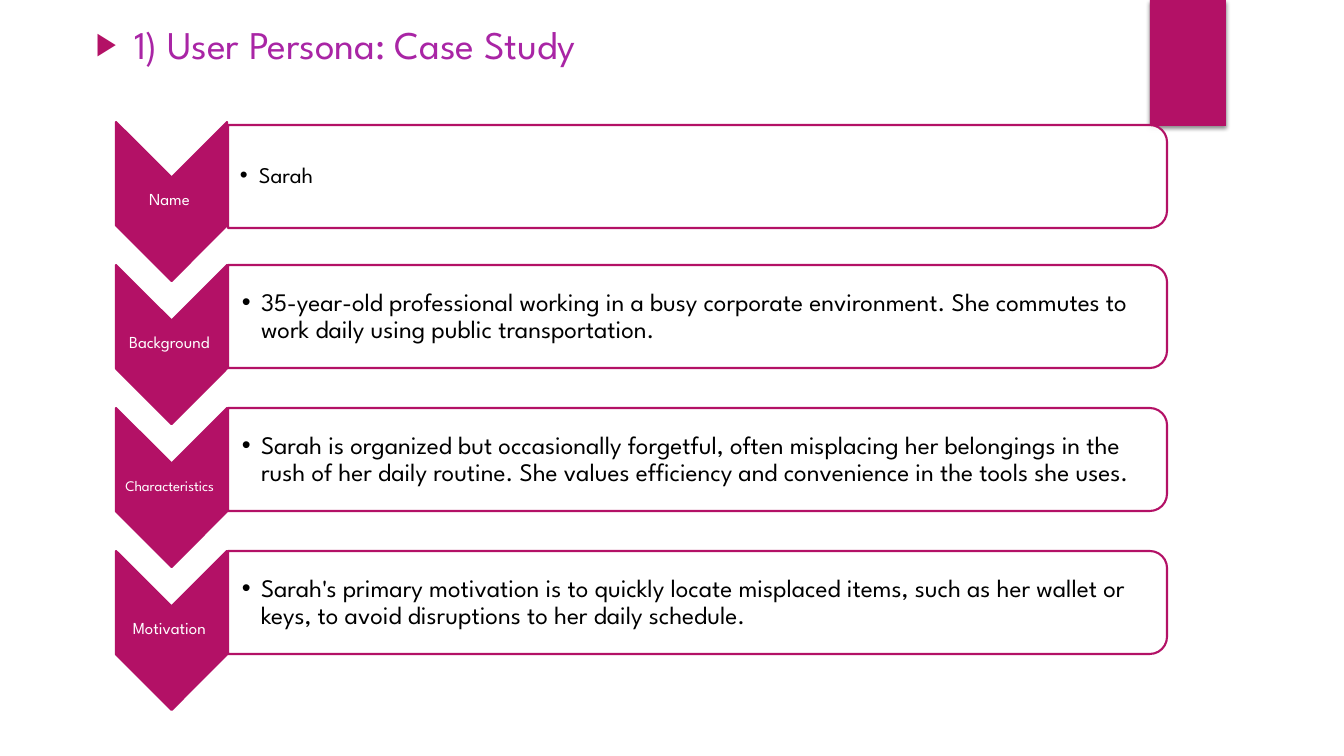
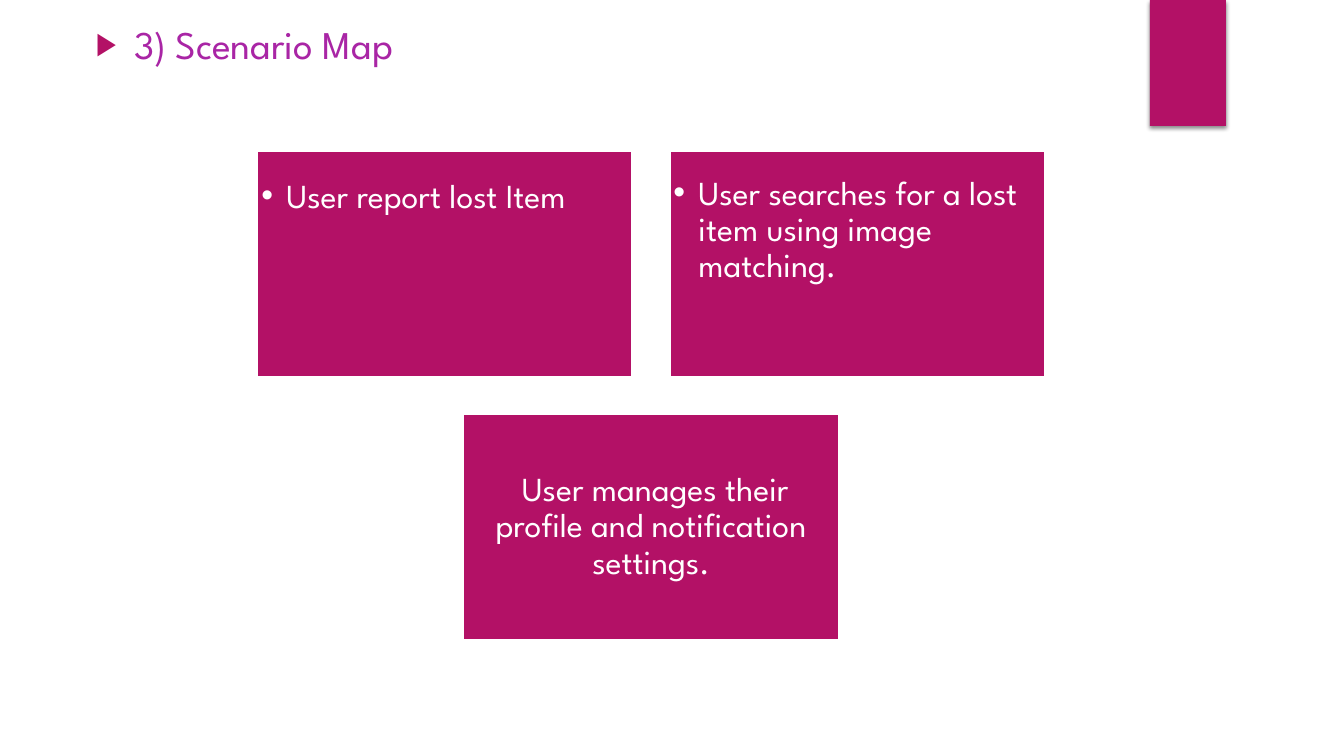
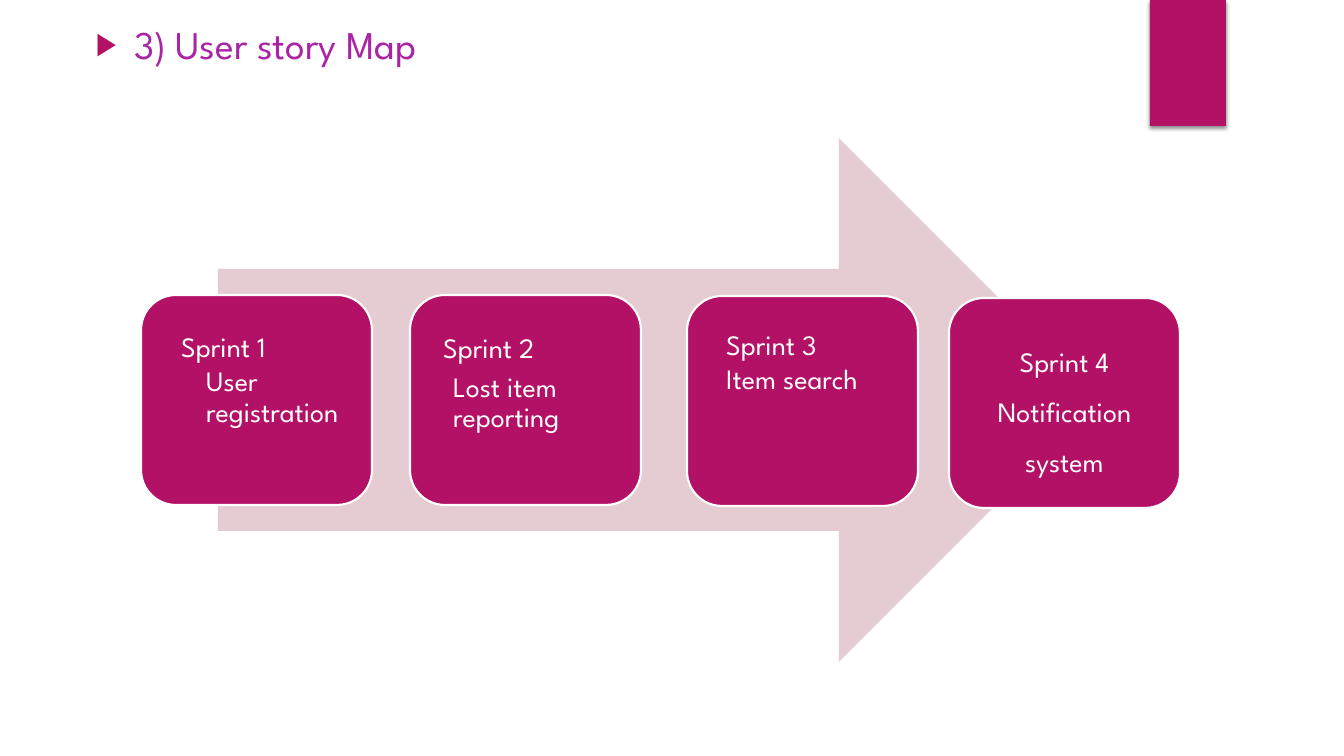
"""Build three slides on a user persona, a scenario map and a user story map."""
from lxml import etree
from pptx import Presentation
from pptx import util as u
from pptx.dml.color import RGBColor
from pptx.enum import shapes, text
from pptx.oxml.ns import qn

FONT = "League Spartan"
MAGENTA = RGBColor(0xB3, 0x11, 0x66)
PURPLE = RGBColor(0xA9, 0x25, 0xA5)
PINK = RGBColor(0xE5, 0xCC, 0xD3)
WHITE = RGBColor(0xFF, 0xFF, 0xFF)
BLACK = RGBColor(0, 0, 0)

KIND = shapes.MSO_SHAPE
TOP, MIDDLE = text.MSO_ANCHOR.TOP, text.MSO_ANCHOR.MIDDLE
LEFT, CENTER = text.PP_ALIGN.LEFT, text.PP_ALIGN.CENTER

PERSONA = [
    dict(label="Name ", size=12, drop=3, inset=12, body_size=16, body="Sarah"),
    dict(label="Background ", size=12, drop=0, inset=14, body_size=18,
         body="35-year-old professional working in a busy corporate environment. "
              "She commutes to work daily using public transportation."),
    dict(label="Characteristics ", size=10.5, drop=0, inset=14, body_size=18,
         body="Sarah is organized but occasionally forgetful, often misplacing her "
              "belongings in the rush of her daily routine. She values efficiency "
              "and convenience in the tools she uses."),
    dict(label="Motivation ", size=12, drop=0, inset=14, body_size=18,
         body="Sarah's primary motivation is to quickly locate misplaced items, such "
              "as her wallet or keys, to avoid disruptions to her daily schedule."),
]

BULLETED = dict(margin=25, hang=25, bullet="•")
CENTERED = dict(align=CENTER)
SCENARIOS = [
    [("User report lost Item", BULLETED, TOP, (5, 28, 5, 5)),
     ("User searches for a lost item using image matching.", BULLETED, TOP, (4, 25, 4, 4))],
    [(" User manages their profile and notification settings.", CENTERED, MIDDLE,
      (10, 10, 10, 10))],
]

SPRINTS = [
    dict(left=141, top=295, anchor=TOP, insets=(5, 28, 5, 5), lines=[
        ("Sprint 1", dict(margin=25, after=3)),
        ("User registration", dict(margin=50))]),
    dict(left=410, top=295, anchor=TOP, insets=(8, 8, 8, 8), lines=[
        ("Sprint 2", dict(margin=15, spacing=1.5, after=7)),
        ("Lost item reporting", dict(margin=25))]),
    dict(left=687, top=296, anchor=TOP, insets=(4, 25, 4, 4), lines=[
        ("Sprint 3", dict(margin=25, after=3)),
        ("Item search", dict(margin=25))]),
    dict(left=949, top=298, anchor=MIDDLE, insets=(8, 8, 8, 8), lines=[
        ("Sprint 4 Notification system", dict(align=CENTER, spacing=1.5))]),
]


def px(length):
    return u.Emu(round(length * 914400 / 100.8))


def add_bullet(para, mark, color=None, percent=100):
    props = para._p.get_or_add_pPr()
    if color is not None:
        holder = etree.SubElement(props, qn("a:buClr"))
        etree.SubElement(holder, qn("a:srgbClr"), val=str(color))
    etree.SubElement(props, qn("a:buSzPct"), val=str(percent * 1000))
    etree.SubElement(props, qn("a:buFont"), typeface="Arial")
    etree.SubElement(props, qn("a:buChar"), char=mark)


def style(para, size, color, align=LEFT, margin=0, hang=0, bullet=None,
          bullet_color=None, percent=100, spacing=0.9, before=0, after=0):
    props = para._p.get_or_add_pPr()
    props.set("marL", str(px(margin)))
    props.set("indent", str(-px(hang)))
    if bullet:
        add_bullet(para, bullet, bullet_color, percent)
    para.alignment = align
    para.line_spacing = spacing
    para.space_before, para.space_after = u.Pt(before), u.Pt(after)
    para.font.name, para.font.size = FONT, u.Pt(size)
    para.font.color.rgb = color


def write(shape, lines, size, color, anchor, insets):
    frame = shape.text_frame
    frame.word_wrap = True
    frame.vertical_anchor = anchor
    (frame.margin_left, frame.margin_top,
     frame.margin_right, frame.margin_bottom) = map(px, insets)
    for index, (words, options) in enumerate(lines):
        para = frame.add_paragraph() if index else frame.paragraphs[0]
        para.text = words
        style(para, size, color, **options)


def add_block(page, kind, left, top, width, height, fill, line=None):
    block = page.shapes.add_shape(kind, px(left), px(top), px(width), px(height))
    block.shadow.inherit = False
    block.fill.solid()
    block.fill.fore_color.rgb = fill
    if line is None:
        block.line.fill.background()
    else:
        block.line.color.rgb = line
        block.line.width = u.Pt(1.5)
    return block


def add_turned(page, kind, left, top, width, height, fill):
    shift = (width - height) / 2
    block = add_block(page, kind, left + shift, top - shift, height, width, fill, MAGENTA)
    block.rotation = 90
    return block


def add_text(page, left, top, width, height, *content):
    box = page.shapes.add_textbox(px(left), px(top), px(width), px(height))
    write(box, *content)


def set_up_layout(layout, page):
    title = layout.placeholders[0]
    title.left, title.top, title.width, title.height = map(px, (86, 15, 779, 79))
    band = add_block(page, KIND.RECTANGLE, 1150, 0, 76, 126, MAGENTA)
    effects = band.element.spPr.find(qn("a:effectLst"))
    shadow = etree.SubElement(effects, qn("a:outerShdw"), blurRad=str(u.Pt(3)),
                              dist=str(u.Pt(2)), dir="5400000", rotWithShape="0")
    shade = etree.SubElement(shadow, qn("a:srgbClr"), val=str(BLACK))
    etree.SubElement(shade, qn("a:alpha"), val="45000")
    layout.shapes.element.append(band.element)


def add_page(deck, layout, heading):
    page = deck.slides.add_slide(layout)
    options = dict(margin=38, hang=38, bullet="▶", bullet_color=MAGENTA,
                   percent=80, spacing=1.0, before=10)
    write(page.shapes.title, [(heading, options)], 28, PURPLE, TOP, (10, 5, 10, 5))
    page.shapes.title.text_frame.auto_size = text.MSO_AUTO_SIZE.NONE
    return page


def draw_persona(page):
    for row, entry in enumerate(PERSONA):
        top = 122 + 143 * row
        bar_top = top + entry["drop"]
        add_turned(page, KIND.CHEVRON, 116, top, 111, 159, MAGENTA)
        add_text(page, 116, top + 55, 111, 47, [(entry["label"], CENTERED)],
                 entry["size"], WHITE, MIDDLE, (1, 1, 1, 1))
        bar = add_turned(page, KIND.ROUND_2_SAME_RECTANGLE, 228, bar_top, 939, 103, WHITE)
        fill = bar.element.spPr.find(qn("a:solidFill"))
        etree.SubElement(fill[0], qn("a:alpha"), val="90000")
        add_text(page, 228, bar_top + 5, 934, 93,
                 [(entry["body"], dict(margin=19, hang=19, bullet="•"))],
                 entry["body_size"], BLACK, MIDDLE, (entry["inset"], 1, 1, 1))


def draw_scenarios(page):
    width, height, gap, middle = 376, 226, 37, 651
    for row, tiles in enumerate(SCENARIOS):
        start = middle - (len(tiles) * (width + gap) - gap) / 2
        for column, (words, options, anchor, insets) in enumerate(tiles):
            tile = add_block(page, KIND.RECTANGLE, start + column * (width + gap),
                             151 + row * (height + gap), width, height, MAGENTA, WHITE)
            write(tile, [(words, options)], 24, WHITE, anchor, insets)


def draw_sprints(page):
    add_block(page, KIND.RIGHT_ARROW, 218, 138, 883, 524, PINK)
    for sprint in SPRINTS:
        card = add_block(page, KIND.ROUNDED_RECTANGLE, sprint["left"], sprint["top"],
                         231, 210, MAGENTA, WHITE)
        write(card, sprint["lines"], 20, WHITE, sprint["anchor"], sprint["insets"])


PAGES = [
    ("1) User Persona: Case Study", draw_persona),
    ("3) Scenario Map", draw_scenarios),
    ("3) User story Map", draw_sprints),
]


def main():
    deck = Presentation()
    deck.slide_width, deck.slide_height = px(1344), px(756)
    layout = deck.slide_layouts[5]
    for number, (heading, draw) in enumerate(PAGES):
        page = add_page(deck, layout, heading)
        if number == 0:
            set_up_layout(layout, page)
        draw(page)
    deck.save("out.pptx")


if __name__ == "__main__":
    main()
